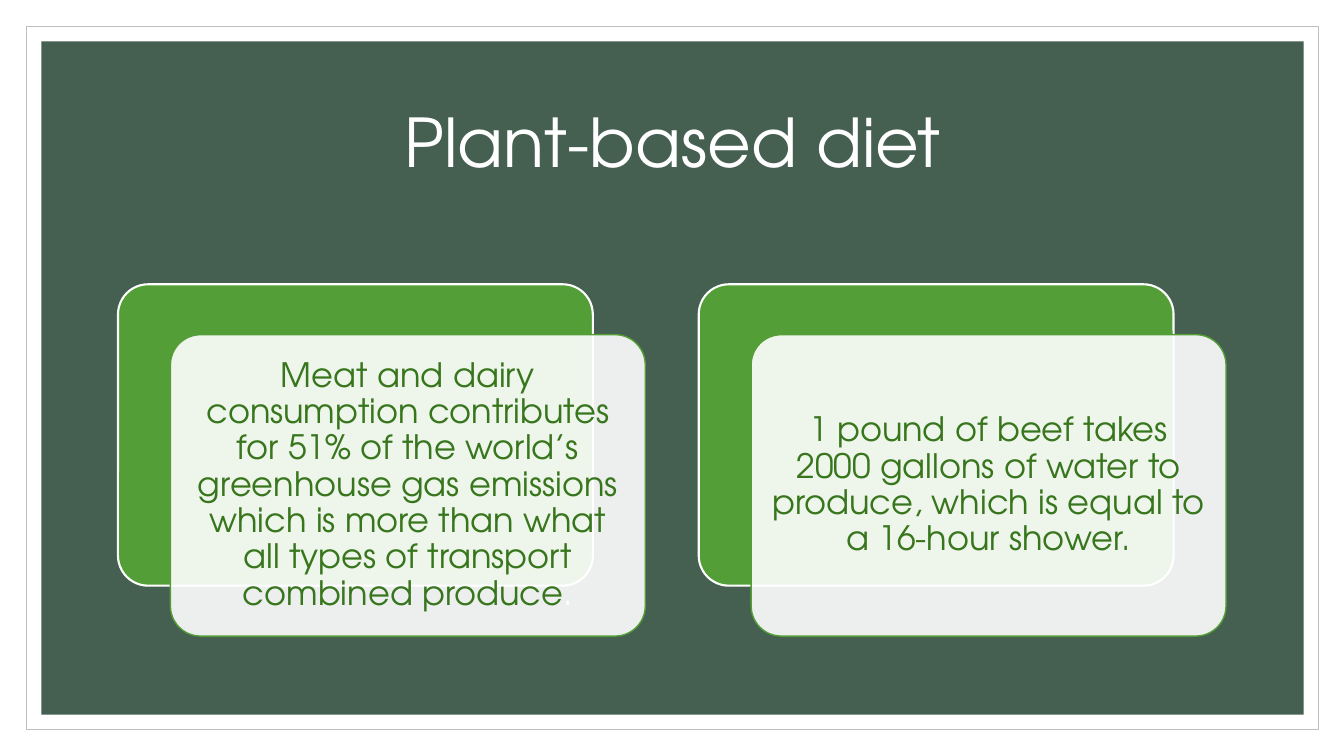
from dataclasses import dataclass

from lxml.etree import SubElement
from pptx import Presentation
from pptx.dml.color import RGBColor
from pptx.enum.shapes import MSO_SHAPE
from pptx.enum.text import MSO_ANCHOR, PP_ALIGN
from pptx.oxml.ns import qn
from pptx.util import Inches, Pt


@dataclass(frozen=True)
class Theme:
    font: str = "TeX Gyre Adventor"
    white: str = "FFFFFF"
    border: str = "BFBFBF"
    panel: str = "455F51"
    leaf: str = "539E36"
    text: str = "38761D"
    title_size: int = 48
    body_size: int = 24
    card_opacity: int = 90


THEME = Theme()
FACTS = [
    [("Meat and dairy consumption contributes for 51% of the world’s greenhouse gas "
      "emissions which is more than what all types of transport combined produce",
      THEME.text), (".", THEME.white)],
    [("1 pound of beef takes 2000 gallons of water to produce, which is equal to "
      "a 16-hour shower.", THEME.text)],
]


def add_block(slide, kind, box, fill, line=None, line_width=1):
    block = slide.shapes.add_shape(kind, *map(Inches, box))
    block.shadow.inherit = False
    block.fill.solid()
    block.fill.fore_color.rgb = RGBColor.from_string(fill)
    if line:
        block.line.color.rgb = RGBColor.from_string(line)
        block.line.width = Pt(line_width)
    else:
        block.line.fill.background()
    return block


def write_centred(frame, pieces, size, inset):
    """Fill a text frame with one centred paragraph of (text, colour) pieces."""
    frame.word_wrap = True
    frame.vertical_anchor = MSO_ANCHOR.MIDDLE
    frame.margin_left = frame.margin_right = Inches(0.1)
    frame.margin_top = frame.margin_bottom = Inches(inset)
    paragraph = frame.paragraphs[0]
    paragraph.alignment = PP_ALIGN.CENTER
    paragraph.line_spacing = 0.9
    for words, colour in pieces:
        run = paragraph.add_run()
        run.text = words
        run.font.name = THEME.font
        run.font.size = Pt(size)
        run.font.color.rgb = RGBColor.from_string(colour)


def add_backdrop(slide, box):
    """Place the bordered page and its dark panel behind the title."""
    left, top, width, height = box
    gap = 0.15
    page = add_block(slide, MSO_SHAPE.RECTANGLE, box, THEME.white, THEME.border, 0.75)
    panel = add_block(slide, MSO_SHAPE.RECTANGLE,
                      (left + gap, top + gap, width - 2 * gap, height - 2 * gap),
                      THEME.panel)
    for layer in (page, panel):
        slide.shapes.title.element.addprevious(layer.element)


def add_title(slide, box, words):
    title = slide.shapes.title
    title.left, title.top, title.width, title.height = map(Inches, box)
    write_centred(title.text_frame, [(words, THEME.white)], THEME.title_size, 0.05)


def add_fact(slide, box, pieces):
    """Place a green block with a translucent text card offset over it."""
    left, top, width, height = box
    shift_x, shift_y = 0.52, 0.5
    size = (width - shift_x, height - shift_y)
    back = add_block(slide, MSO_SHAPE.ROUNDED_RECTANGLE, (left, top, *size),
                     THEME.leaf, THEME.white, 1.5)
    card = add_block(slide, MSO_SHAPE.ROUNDED_RECTANGLE,
                     (left + shift_x, top + shift_y, *size), THEME.white, THEME.leaf)
    for block in (back, card):
        block.adjustments[0] = 0.1
    colour = card.element.spPr.find(qn("a:solidFill"))[0]
    SubElement(colour, qn("a:alpha")).set("val", str(THEME.card_opacity * 1000))
    write_centred(card.text_frame, pieces, THEME.body_size, 0.1)


def add_facts(slide, box, facts):
    left, top, width, height = box
    gap = 0.53
    fact_width = (width - gap * (len(facts) - 1)) / len(facts)
    for index, pieces in enumerate(facts):
        add_fact(slide, (left + index * (fact_width + gap), top, fact_width, height), pieces)


def main():
    deck = Presentation()
    deck.slide_width, deck.slide_height = Inches(13.33), Inches(7.5)
    slide = deck.slides.add_slide(deck.slide_layouts[5])
    add_backdrop(slide, (0.26, 0.26, 12.82, 6.98))
    add_title(slide, (1.17, 0.7, 11, 1.5), "Plant-based diet")
    add_facts(slide, (1.17, 2.82, 10.99, 3.49), FACTS)
    deck.save("out.pptx")


if __name__ == "__main__":
    main()
